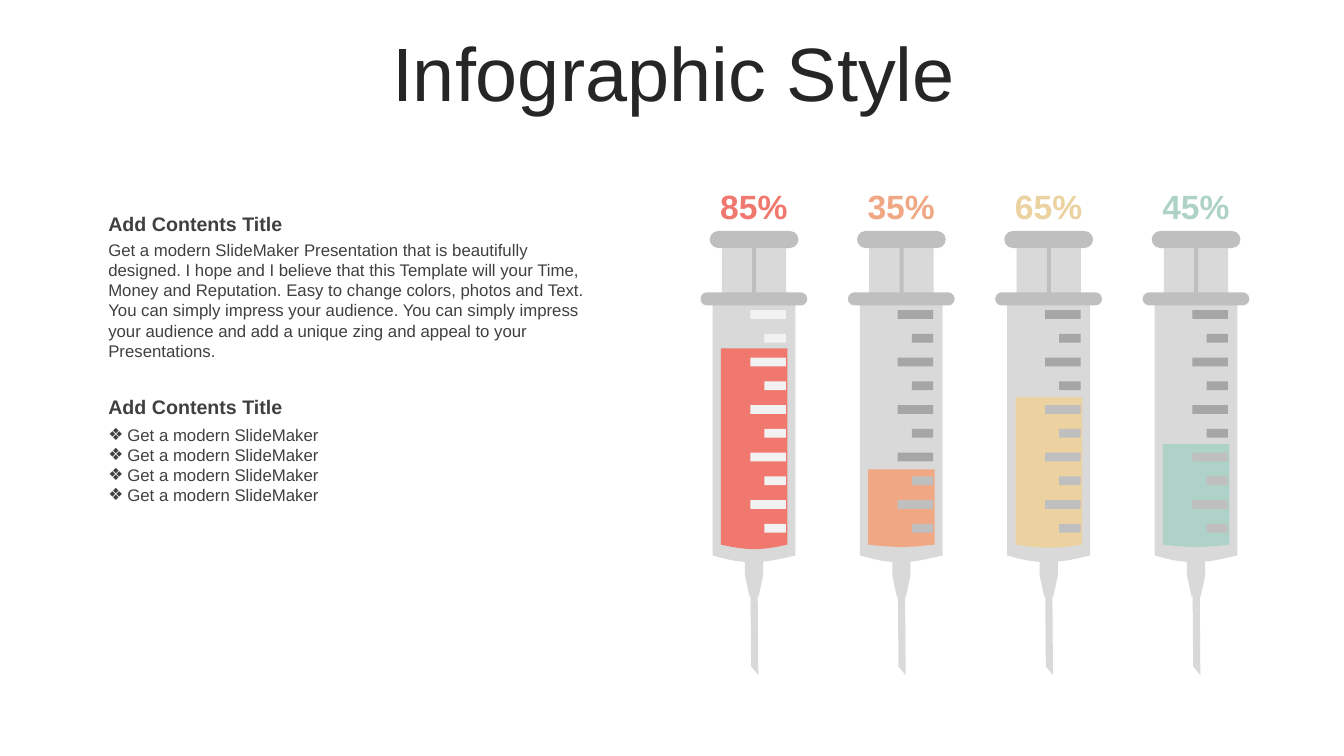
from lxml.etree import SubElement
from pptx import Presentation
from pptx.dml.color import RGBColor
from pptx.enum.shapes import MSO_SHAPE as Preset
from pptx.enum.text import MSO_ANCHOR as Anchor, MSO_AUTO_SIZE as AutoSize, PP_ALIGN as Align
from pptx.oxml.ns import qn
from pptx.util import Pt

TITLE_COLOR = RGBColor(0x26, 0x26, 0x26)
TEXT_COLOR = RGBColor(0x40, 0x40, 0x40)
GLASS = RGBColor(0xD9, 0xD9, 0xD9)
GRIP = RGBColor(0xBF, 0xBF, 0xBF)
DARK_TICK = RGBColor(0xA6, 0xA6, 0xA6)
WHITE_TICK = RGBColor(0xF2, 0xF2, 0xF2)
RED = RGBColor(0xF0, 0x78, 0x6E)
ORANGE = RGBColor(0xF0, 0xA8, 0x84)
SAND = RGBColor(0xEB, 0xD2, 0xA0)
MINT = RGBColor(0xAF, 0xD2, 0xC8)

TITLE = "Infographic Style"
HEADING = "Add Contents Title"
DESCRIPTION = (
    "Get a modern SlideMaker Presentation that is beautifully designed. "
    "I hope and I believe that this Template will your Time, Money and Reputation. "
    "Easy to change colors, photos and Text. You can simply impress your audience. "
    "You can simply impress your audience and add a unique zing and appeal to your "
    "Presentations."
)
BULLETS = ["Get a modern SlideMaker"] * 4

SYRINGES = [
    dict(label="85%", color=RED, level=248.8, bulge=4.3, tick_above=WHITE_TICK, tick_inside=WHITE_TICK),
    dict(label="35%", color=ORANGE, level=335.3, bulge=2.2, tick_above=DARK_TICK, tick_inside=GRIP),
    dict(label="65%", color=SAND, level=283.7, bulge=2.9, tick_above=DARK_TICK, tick_inside=GRIP),
    dict(label="45%", color=MINT, level=317.3, bulge=2.2, tick_above=DARK_TICK, tick_inside=GRIP),
]
SYRINGE_LEFT, SYRINGE_PITCH = 500.4, 105.25
TICK_COUNT, TICK_TOP, TICK_STEP, TICK_RIGHT = 10, 221.6, 16.95, 61
TICK_WIDTHS = (25.4, 15.3)
TEXT_LEFT, TEXT_WIDTH = 70.3, 360


def paint(shape, color):
    shape.shadow.inherit = False
    shape.fill.solid()
    shape.fill.fore_color.rgb = color
    shape.line.fill.background()


def add_part(shapes, preset, box, color, rotation=0, adjustment=None):
    shape = shapes.add_shape(preset, *[Pt(value) for value in box])
    paint(shape, color)
    shape.rotation = rotation
    if adjustment is not None:
        shape.adjustments[0] = adjustment


def add_tube(shapes, left, top, width, bottom, bulges, color):
    right = left + width
    points = [
        (right, top),
        (right, bottom),
        (left + 0.61 * width, bottom + bulges[0]),
        (left + 0.4 * width, bottom + bulges[1]),
        (left, bottom),
    ]
    builder = shapes.build_freeform(Pt(left), Pt(top))
    builder.add_line_segments([(Pt(x), Pt(y)) for x, y in points], close=True)
    shape = builder.convert_to_shape()
    paint(shape, color)
    segments = list(shape._element.iter(qn("a:lnTo")))[2:5]
    outline = segments[0].getparent()
    curve = SubElement(outline, qn("a:cubicBezTo"))
    segments[0].addprevious(curve)
    for segment in segments:
        curve.append(segment[0])
        outline.remove(segment)


def place(shape, box):
    shape.left, shape.top, shape.width, shape.height = [Pt(value) for value in box]


def add_run(paragraph, text, size, color, bold=False):
    run = paragraph.add_run()
    run.text = text
    run.font.name = "Arial"
    run.font.size = Pt(size)
    run.font.bold = bold
    run.font.color.rgb = color


def add_text(shapes, text, box, size, color, bold=False, align=Align.LEFT):
    shape = shapes.add_textbox(*[Pt(value) for value in box])
    shape.text_frame.word_wrap = True
    paragraph = shape.text_frame.paragraphs[0]
    paragraph.alignment = align
    add_run(paragraph, text, size, color, bold)


def add_syringe(shapes, left, color, level, bulge, tick_above, tick_inside):
    add_part(shapes, Preset.DIAGONAL_STRIPE, (left + 16.9, 415.2, 48.2, 58.3), GLASS, 320, 0.863)
    add_tube(shapes, left + 8.6, 217.4, 59.2, 396.7, (5.8, 7.2), GLASS)
    add_part(shapes, Preset.ROUNDED_RECTANGLE, (left + 6.5, 165, 63.4, 12.2), GRIP, 0, 0.5)
    add_part(shapes, Preset.RECTANGLE, (left + 15.2, 177.2, 46, 33.1), GLASS)
    add_part(shapes, Preset.RECTANGLE, (left + 31.7, 399, 13, 12.4), GLASS)
    add_part(shapes, Preset.TRAPEZOID, (left + 31.7, 411, 13, 15.1), GLASS, 180)
    add_part(shapes, Preset.ROUNDED_RECTANGLE, (left, 208.8, 76.3, 9.4), GRIP, 0, 0.5)
    add_tube(shapes, left + 14.5, level, 47.5, 389, (bulge, bulge), color)
    add_part(shapes, Preset.RECTANGLE, (left + 36.9, 177.2, 2.9, 33.1), GRIP)
    for index in range(TICK_COUNT):
        top = TICK_TOP + index * TICK_STEP
        width = TICK_WIDTHS[index % 2]
        tick_color = tick_inside if top > level else tick_above
        add_part(shapes, Preset.RECTANGLE, (left + TICK_RIGHT - width, top, width, 6.3), tick_color)


def add_title(slide):
    title = slide.shapes.title
    place(title, (25.4, 26.6, 911.5, 56.9))
    frame = title.text_frame
    frame.auto_size = AutoSize.NONE
    frame.vertical_anchor = Anchor.MIDDLE
    paragraph = frame.paragraphs[0]
    paragraph.alignment = Align.CENTER
    paragraph.line_spacing = 0.9
    add_run(paragraph, TITLE, 54, TITLE_COLOR)


def add_bullets(slide):
    body = slide.placeholders[1]
    place(body, (TEXT_LEFT, 299.5, TEXT_WIDTH, 65.5))
    frame = body.text_frame
    frame.auto_size = AutoSize.NONE
    frame.vertical_anchor = Anchor.TOP
    for index, text in enumerate(BULLETS):
        paragraph = frame.add_paragraph() if index else frame.paragraphs[0]
        paragraph.space_before = Pt(0)
        properties = paragraph._p.get_or_add_pPr()
        properties.set("marL", str(Pt(13.5)))
        properties.set("indent", str(-Pt(13.5)))
        SubElement(properties, qn("a:buFont"), typeface="Arial")
        SubElement(properties, qn("a:buChar"), char="❖")
        add_run(paragraph, text, 12, TEXT_COLOR)


def main():
    presentation = Presentation()
    presentation.slide_width, presentation.slide_height = Pt(960), Pt(540)
    slide = presentation.slides.add_slide(presentation.slide_layouts[1])
    add_title(slide)
    for index, syringe in enumerate(SYRINGES):
        left = SYRINGE_LEFT + index * SYRINGE_PITCH
        label, *details = syringe.values()
        add_syringe(slide.shapes.add_group_shape().shapes, left, *details)
        box = (left + 3.1, 129.6, 70, 36)
        add_text(slide.shapes, label, box, 24, syringe["color"], True, Align.CENTER)
    for top in (147.6, 278.6):
        add_text(slide.shapes, HEADING, (TEXT_LEFT, top, TEXT_WIDTH, 24.5), 14, TEXT_COLOR, True)
    add_text(slide.shapes, DESCRIPTION, (TEXT_LEFT, 167.6, TEXT_WIDTH, 94.3), 12, TEXT_COLOR)
    add_bullets(slide)
    presentation.save("out.pptx")


if __name__ == "__main__":
    main()
